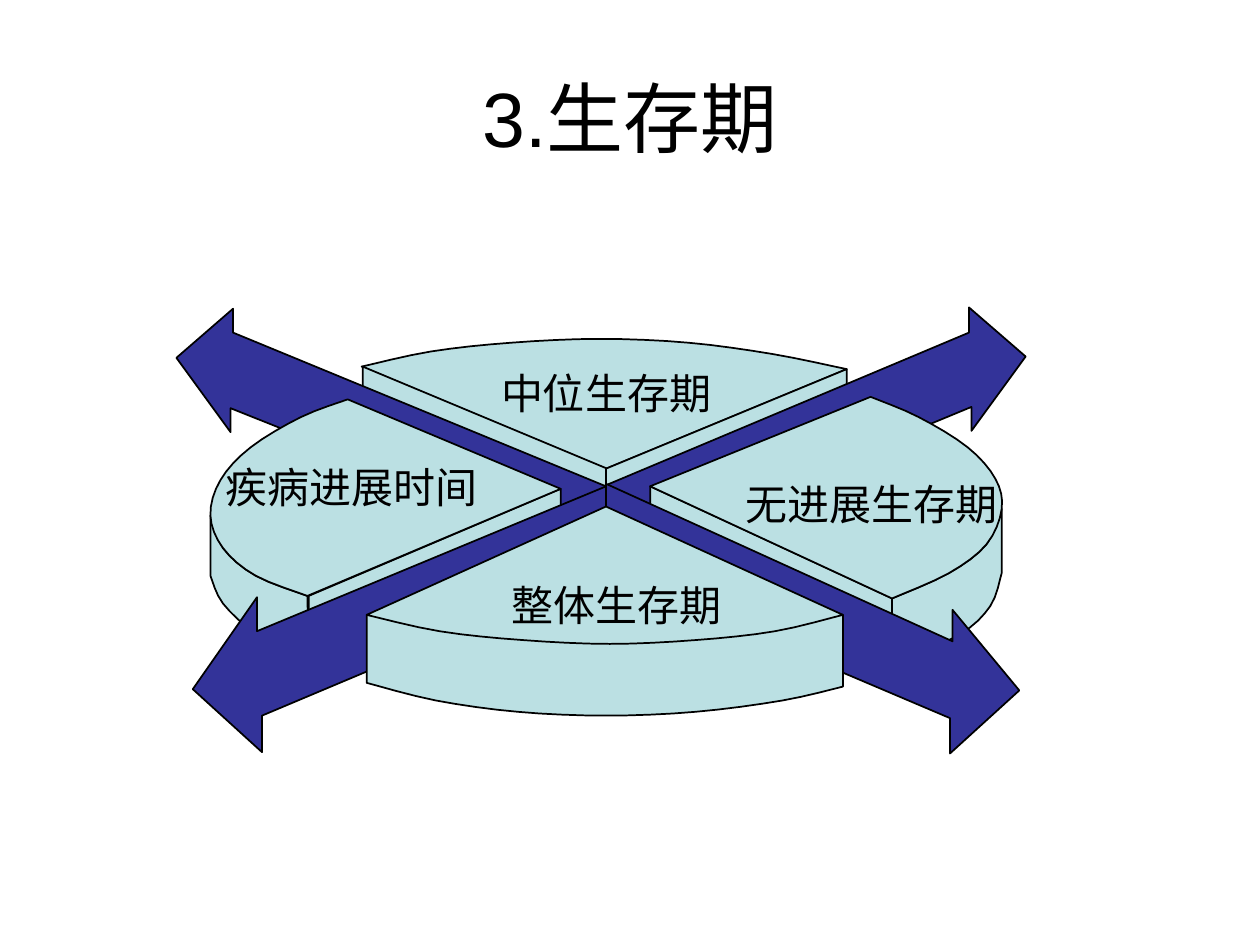
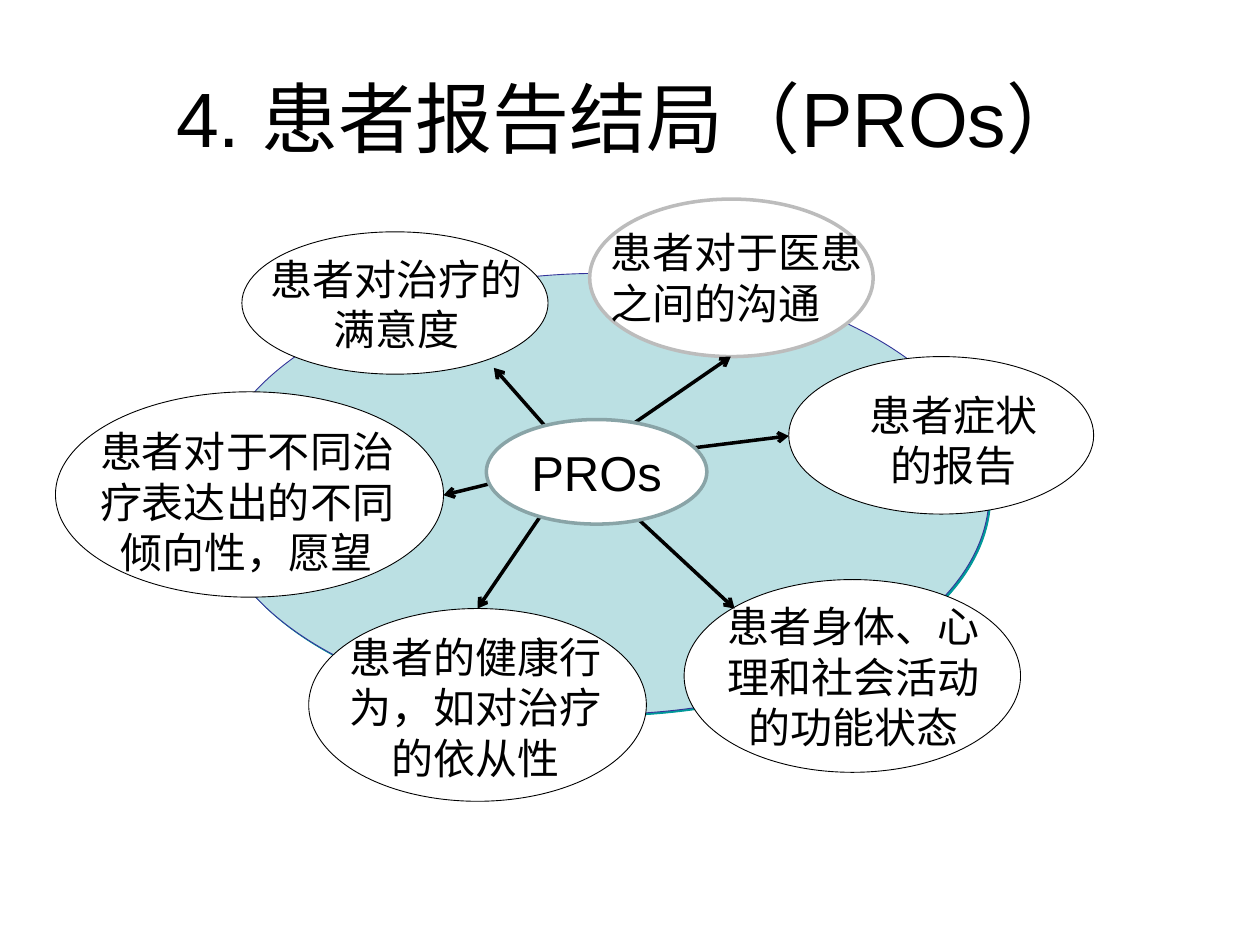
from lxml.etree import SubElement
from pptx import Presentation
from pptx.dml.color import RGBColor
from pptx.enum.shapes import MSO_CONNECTOR, MSO_SHAPE
from pptx.enum.text import MSO_ANCHOR, MSO_AUTO_SIZE, PP_ALIGN
from pptx.oxml.ns import qn
from pptx.util import Inches, Pt

BLACK = RGBColor(0x00, 0x00, 0x00)
WHITE = RGBColor(0xFF, 0xFF, 0xFF)
PALE_TEAL = RGBColor(0xBB, 0xE0, 0xE3)
INDIGO = RGBColor(0x33, 0x33, 0x99)
TEAL = RGBColor(0x00, 0x99, 0x99)
SILVER = RGBColor(0xBC, 0xBC, 0xBC)
GREY_TEAL = RGBColor(0x89, 0xA4, 0xA7)
FONT = "Arial"
TITLE_BOX = (0.5, 0.3, 9, 1.25)

BACK_RIM = [(6.72, 2.93), (6.13, 2.81), (5.46, 2.72), (4.76, 2.69),
            (4.06, 2.72), (3.42, 2.79), (2.87, 2.91)]
RIGHT_NEAR_RIM = [(7.08, 4.75), (7.53, 4.55), (7.83, 4.32), (7.95, 4.04)]
RIGHT_FAR_RIM = [(7.9, 3.8), (7.68, 3.55), (7.29, 3.31), (6.91, 3.15)]
RIGHT_BASE = [(7.95, 4.55), (7.86, 4.81), (7.61, 5.04), (7.08, 5.28)]
LEFT_NEAR_RIM = [(2.44, 4.73), (2.03, 4.57), (1.77, 4.35), (1.67, 4.09)]
LEFT_FAR_RIM = [(1.75, 3.81), (1.99, 3.55), (2.39, 3.31), (2.76, 3.17)]
LEFT_BASE = [(1.67, 4.57), (1.77, 4.79), (2.04, 5.04), (2.45, 5.29)]
FRONT_RIM = [(2.91, 4.88), (3.49, 5.01), (4.15, 5.08), (4.84, 5.11),
             (5.52, 5.08), (6.15, 5.01), (6.69, 4.88)]
FRONT_BASE = [(2.91, 5.42), (3.46, 5.56), (4.11, 5.65), (4.81, 5.68),
              (5.52, 5.65), (6.21, 5.56), (6.69, 5.45)]


def inches(*lengths):
    return [Inches(length) for length in lengths]


def curve(points, steps=4):
    padded = [points[0], *points, points[-1]]
    smooth = []
    for before, start, end, after in zip(padded, padded[1:], padded[2:], padded[3:]):
        for step in range(steps):
            t = step / steps
            smooth.append(tuple(
                b + 0.5 * t * (c - a + t * (2 * a - 5 * b + 4 * c - d + t * (3 * (b - c) + d - a)))
                for a, b, c, d in zip(before, start, end, after)))
    return smooth + [points[-1]]


def write_text(shape, text, size=24, align=PP_ALIGN.CENTER, anchor=MSO_ANCHOR.MIDDLE,
               margins=(0, 0, 0, 0)):
    frame = shape.text_frame
    frame.auto_size = MSO_AUTO_SIZE.NONE
    frame.word_wrap = True
    frame.vertical_anchor = anchor
    frame.margin_left, frame.margin_top, frame.margin_right, frame.margin_bottom = inches(*margins)
    frame.text = text
    for paragraph in frame.paragraphs:
        paragraph.alignment = align
        paragraph.font.name = FONT
        paragraph.font.size = Pt(size)
        paragraph.font.color.rgb = BLACK


def paint(shape, fill, line=BLACK, width=1):
    shape.shadow.inherit = False
    shape.fill.solid()
    shape.fill.fore_color.rgb = fill
    shape.line.color.rgb = line
    shape.line.width = Pt(width)


def add_titled_slide(presentation, title):
    slide = presentation.slides.add_slide(presentation.slide_layouts[5])
    shape = slide.shapes.title
    shape.left, shape.top, shape.width, shape.height = inches(*TITLE_BOX)
    write_text(shape, title, size=44, margins=(0.1, 0.05, 0.1, 0.05))
    return slide


def add_label(slide, box, text, **text_format):
    write_text(slide.shapes.add_textbox(*inches(*box)), text, **text_format)


def add_outline(slide, points, fill):
    corners = [inches(*point) for point in points]
    builder = slide.shapes.build_freeform(*corners[0])
    builder.add_line_segments(corners[1:], close=True)
    paint(builder.convert_to_shape(), fill)


def add_ellipse(slide, box, fill=WHITE, line=BLACK, width=0.5):
    shape = slide.shapes.add_shape(MSO_SHAPE.OVAL, *inches(*box))
    paint(shape, fill, line, width)
    return shape


def add_shadow(shape, color, distance):
    effects = shape._element.spPr.find(qn("a:effectLst"))
    shadow = SubElement(effects, qn("a:outerShdw"), dist=str(Pt(distance)),
                        dir=str(45 * 60000), algn="ctr", rotWithShape="0")
    SubElement(shadow, qn("a:srgbClr"), val=str(color))


def add_arrow(slide, start, end):
    connector = slide.shapes.add_connector(MSO_CONNECTOR.STRAIGHT, *inches(*start, *end))
    connector.line.color.rgb = BLACK
    connector.line.width = Pt(2)
    SubElement(connector.line._get_or_add_ln(), qn("a:tailEnd"), type="arrow")
    SubElement(connector._element.spPr, qn("a:effectLst"))


def build_survival_slide(presentation):
    slide = add_titled_slide(presentation, "3.生存期")
    outlines = [
        (curve(BACK_RIM) + [(4.81, 3.72)], PALE_TEAL),
        ([(4.82, 3.72), (4.82, 4.13), (2.88, 3.34), (2.88, 2.91)], PALE_TEAL),
        ([(4.81, 3.72), (4.81, 4.13), (6.72, 3.36), (6.72, 2.93)], PALE_TEAL),
        ([(7.69, 2.64), (2.03, 5.02), (1.89, 5.64), (7.71, 3.23), (7.71, 3.42),
          (8.14, 2.83), (7.69, 2.44)], INDIGO),
        ([(5.16, 3.86), (7.08, 4.75), (7.08, 5.29), (5.16, 4.28)], PALE_TEAL),
        (curve(RIGHT_BASE) + curve(RIGHT_NEAR_RIM), PALE_TEAL),
        (curve(RIGHT_NEAR_RIM + RIGHT_FAR_RIM) + [(5.16, 3.86)], PALE_TEAL),
        ([(4.81, 4.54), (7.54, 5.7), (7.54, 5.98), (8.09, 5.48), (7.56, 4.84),
          (7.56, 5.09), (4.81, 3.84)], INDIGO),
        ([(4.81, 4.43), (4.81, 3.86), (1.85, 2.64), (1.85, 2.45), (1.4, 2.84),
          (1.83, 3.43), (1.83, 3.24)], INDIGO),
        ([(4.45, 3.88), (2.45, 4.73), (2.45, 5.18), (4.45, 4.3)], PALE_TEAL),
        (curve(LEFT_BASE) + curve(LEFT_NEAR_RIM), PALE_TEAL),
        (curve(LEFT_NEAR_RIM + LEFT_FAR_RIM) + [(4.45, 3.88)], PALE_TEAL),
        ([(4.81, 4.53), (2.08, 5.68), (2.08, 5.97), (1.53, 5.47), (2.04, 4.74),
          (2.04, 5.01), (4.81, 3.86)], INDIGO),
        (curve(FRONT_BASE) + [FRONT_RIM[-1], FRONT_RIM[0]], PALE_TEAL),
        (curve(FRONT_RIM) + [(4.81, 4.02)], PALE_TEAL),
    ]
    for points, fill in outlines:
        add_outline(slide, points, fill)

    add_label(slide, (3.83, 2.92, 1.96, 0.63), "中位生存期", anchor=MSO_ANCHOR.TOP)
    add_label(slide, (5.67, 3.58, 2.5, 0.83), "无进展生存期")
    add_label(slide, (3.75, 4.42, 2.29, 0.58), "整体生存期", anchor=MSO_ANCHOR.BOTTOM)
    add_label(slide, (1.67, 3.5, 2.24, 0.73), "疾病进展时间")


def build_outcomes_slide(presentation):
    slide = add_titled_slide(presentation, "4. 患者报告结局（PROs）")
    backdrop = add_ellipse(slide, (1.67, 2.17, 6.18, 3.5), PALE_TEAL, INDIGO)
    add_shadow(backdrop, TEAL, 1.4)

    outcomes = [
        ((0.44, 3.11, 3.08, 1.63), (0.67, 3.38, 2.58, 1.2), "患者对于不同治疗表达出的不同倾向性，愿望"),
        ((2.45, 4.83, 2.68, 1.53), (2.65, 5.01, 2.25, 1.2), "患者的健康行为，如对治疗的依从性"),
        ((1.92, 1.84, 2.43, 1.13), (2.09, 2.01, 2.12, 0.8), "患者对治疗的满意度"),
        ((6.26, 2.83, 2.42, 1.25), (6.4, 3.09, 2.33, 0.8), "患者症状\n的报告"),
        ((5.43, 4.6, 2.67, 1.53), (5.69, 4.77, 2.17, 1.2), "患者身体、心理和社会活动的功能状态"),
    ]
    for oval, label, text in outcomes:
        add_ellipse(slide, oval)
        add_label(slide, label, text)
    add_ellipse(slide, (4.68, 1.58, 2.25, 1.25), line=SILVER, width=2)
    add_label(slide, (4.75, 1.75, 2.33, 0.9), "患者对于医患之间的沟通", align=PP_ALIGN.LEFT,
              anchor=MSO_ANCHOR.TOP, margins=(0.1, 0.05, 0.1, 0.05))

    for end in [(3.92, 2.92), (3.52, 3.93), (5.83, 4.83), (3.79, 4.83), (5.8, 2.83), (6.26, 3.46)]:
        add_arrow(slide, (4.58, 3.67), end)
    hub = add_ellipse(slide, (3.86, 3.33, 1.75, 0.83), line=GREY_TEAL, width=2)
    write_text(hub, "PROs", size=28, margins=(0.1, 0.05, 0.1, 0.05))


def main():
    presentation = Presentation()
    presentation.slide_width, presentation.slide_height = inches(10, 7.5)
    build_survival_slide(presentation)
    build_outcomes_slide(presentation)
    presentation.save("out.pptx")


if __name__ == "__main__":
    main()
